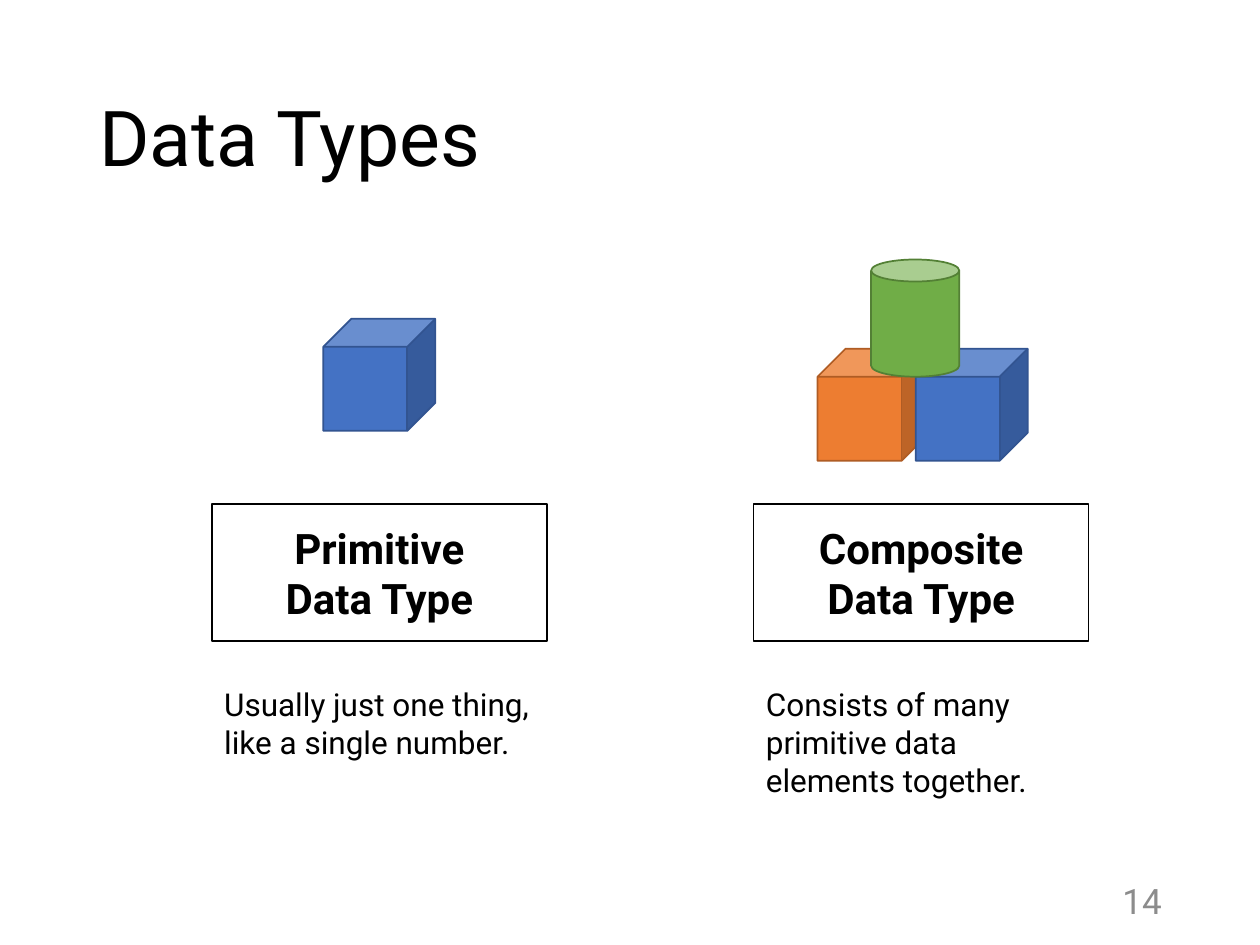
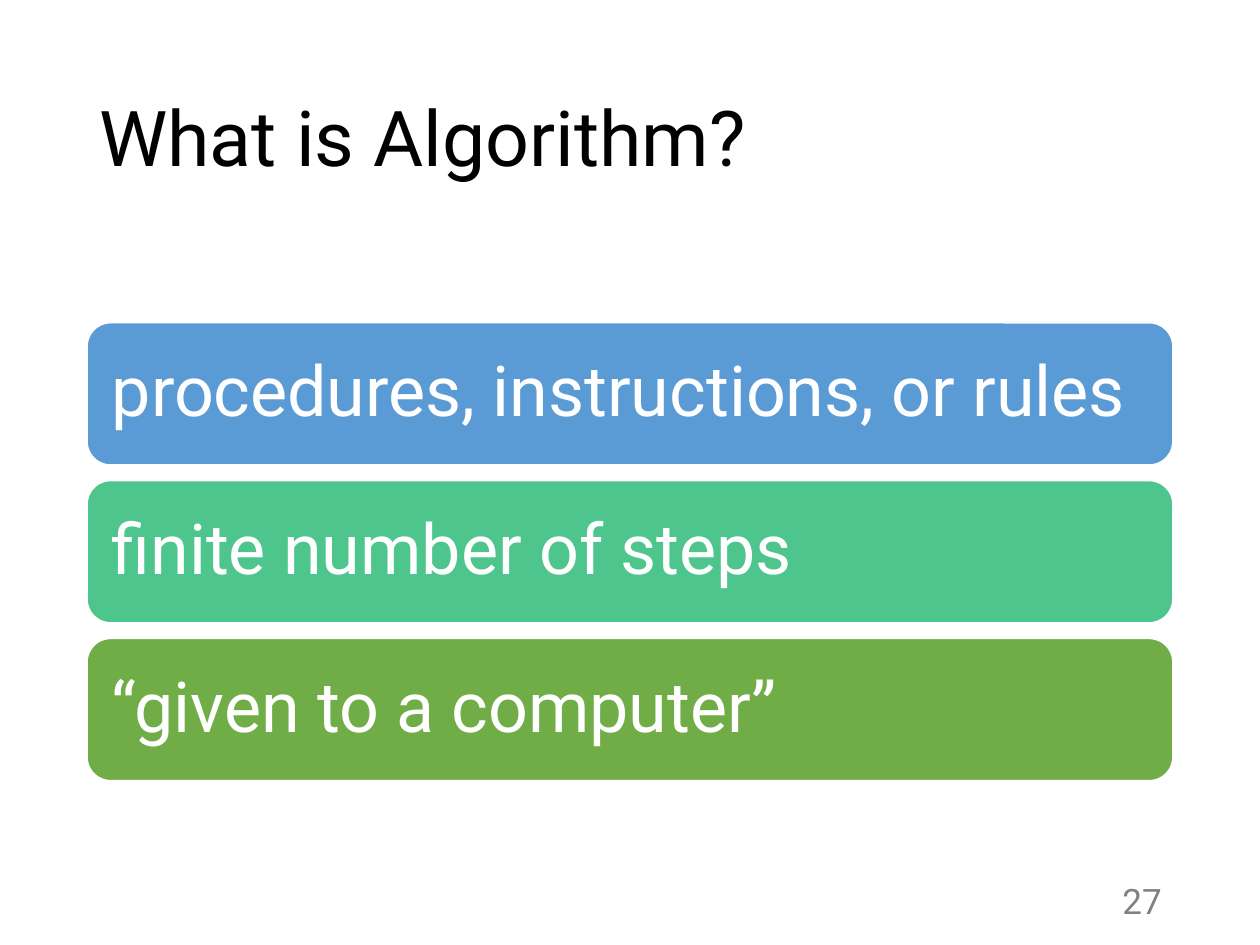
import pptx
import pptx.util
import pptx.dml.color
import pptx.enum.shapes
import pptx.enum.text

Pt = pptx.util.Pt
SHAPE = pptx.enum.shapes.MSO_SHAPE
ALIGN = pptx.enum.text.PP_ALIGN
ANCHOR = pptx.enum.text.MSO_ANCHOR

COLOURS = {
    "white": "FFFFFF", "black": "000000",
    "number_light": "8C8C8C", "number_dark": "808080",
    "blue": "4472C4", "blue_edge": "325491",
    "orange": "ED7D31", "orange_edge": "AF5C24",
    "green": "70AD47", "green_edge": "538035",
    "sky": "5B9BD5", "mint": "4DC58D",
}
MARGIN = 49.7
CONTENT_WIDTH = 720 - 2 * MARGIN


def rgb(name):
    return pptx.dml.color.RGBColor.from_string(COLOURS[name])


def write(shape, text, size=18, colour="black", bold=False, align=ALIGN.LEFT,
          anchor=ANCHOR.TOP, spacing=1.0, insets=(7.2, 3.6)):
    frame = shape.text_frame
    frame.word_wrap = True
    frame.vertical_anchor = anchor
    frame.margin_left = frame.margin_right = Pt(insets[0])
    frame.margin_top = frame.margin_bottom = Pt(insets[1])
    paragraph = frame.paragraphs[0]
    paragraph.text = text
    paragraph.alignment = align
    paragraph.line_spacing = spacing
    for run in paragraph.runs:
        run.font.name = "Roboto"
        run.font.size = Pt(size)
        run.font.bold = bold
        run.font.color.rgb = rgb(colour)


class Deck:
    def __init__(self):
        self.presentation = pptx.Presentation()
        self.presentation.slide_width = Pt(720)
        self.presentation.slide_height = Pt(540)
        self.slide = None

    def new_slide(self, title, number, number_colour):
        layout = self.presentation.slide_layouts[6]
        self.slide = self.presentation.slides.add_slide(layout)
        self.text(title, MARGIN, 28.8, CONTENT_WIDTH, 104.4, size=44,
                  anchor=ANCHOR.MIDDLE, spacing=0.9)
        self.text(number, 622.8, 500.4, 48.2, 28.8, size=20, colour=number_colour,
                  align=ALIGN.RIGHT, anchor=ANCHOR.MIDDLE)

    def text(self, text, left, top, width, height, **style):
        box = self.slide.shapes.add_textbox(Pt(left), Pt(top), Pt(width), Pt(height))
        write(box, text, **style)

    def shape(self, kind, left, top, width, height, fill, line):
        shape = self.slide.shapes.add_shape(kind, Pt(left), Pt(top), Pt(width), Pt(height))
        shape.shadow.inherit = False
        shape.fill.solid()
        shape.fill.fore_color.rgb = rgb(fill)
        shape.line.color.rgb = rgb(line)
        shape.line.width = Pt(1)
        return shape

    def block(self, kind, left, top, width, height, hue):
        self.shape(kind, left, top, width, height, hue, f"{hue}_edge")

    def cube(self, left, top, hue):
        self.block(SHAPE.CUBE, left, top, 64, 64, hue)

    def type_card(self, left, name, description, description_height):
        width = 191.5
        card = self.shape(SHAPE.RECTANGLE, left, 288, width, 78.5, "white", "black")
        write(card, name, size=24, bold=True, align=ALIGN.CENTER, anchor=ANCHOR.MIDDLE)
        self.text(description, left, 388, width, description_height)

    def band(self, top, text, fill):
        band = self.shape(SHAPE.ROUNDED_RECTANGLE, MARGIN, top, CONTENT_WIDTH, 81.4,
                          fill, "white")
        write(band, text, size=40, colour="white", anchor=ANCHOR.MIDDLE,
              spacing=0.9, insets=(10.2, 12))


def data_types(deck):
    deck.new_slide("Data Types", "14", "number_light")
    deck.type_card(121, "Primitive\vData Type",
                   "Usually just one thing, like a single number.", 51)
    deck.type_card(430.6, "Composite\vData Type",
                   "Consists of many primitive data elements together.", 72.7)
    deck.cube(184.8, 182.2, "blue")
    deck.cube(467.2, 199.3, "orange")
    deck.cube(523.3, 199.3, "blue")
    deck.block(SHAPE.CAN, 497.8, 148.3, 50.4, 67, "green")


def algorithm(deck):
    deck.new_slide("What is Algorithm?", "27", "number_dark")
    traits = [
        ("procedures, instructions, or rules", "sky"),
        ("finite number of steps", "mint"),
        ("“given to a computer”", "green"),
    ]
    for row, (trait, fill) in enumerate(traits):
        deck.band(184.4 + 90.2 * row, trait, fill)


def main():
    deck = Deck()
    data_types(deck)
    algorithm(deck)
    deck.presentation.save("out.pptx")


if __name__ == "__main__":
    main()
